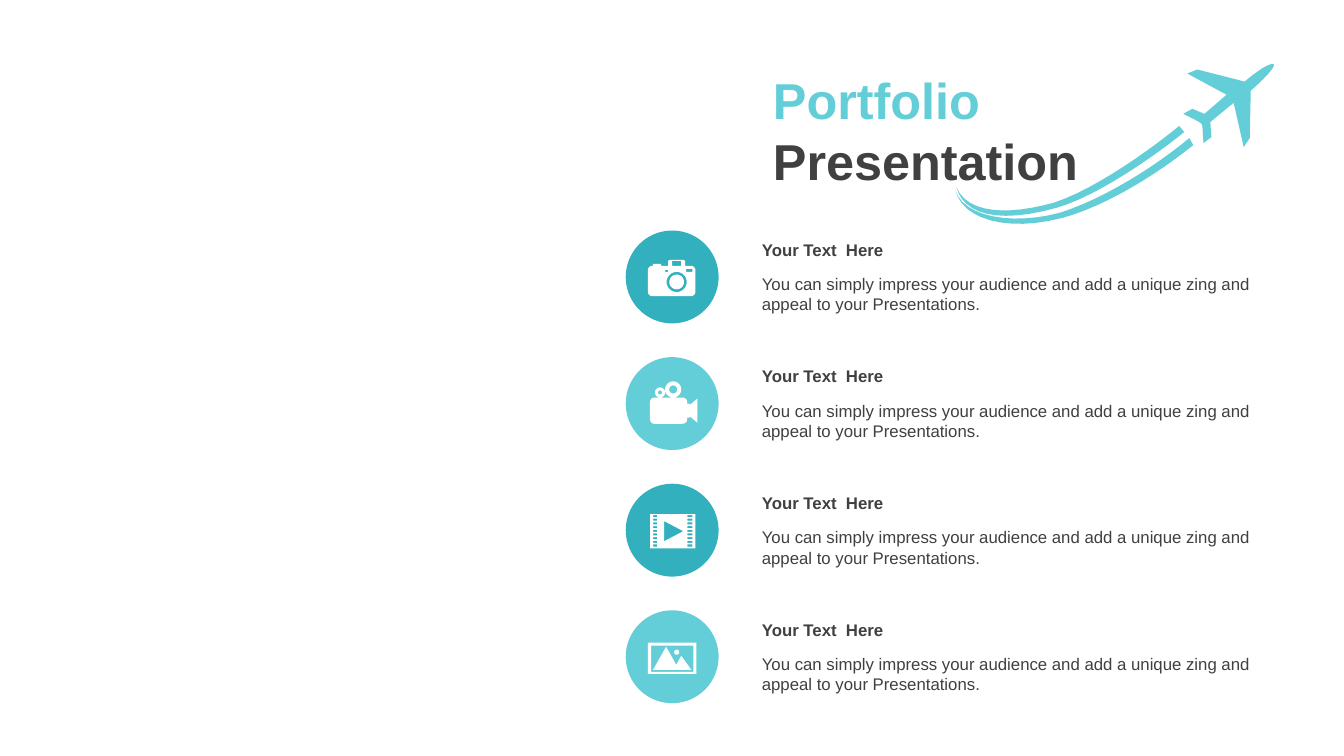
from math import cos, pi, sin

from pptx import Presentation
from pptx.dml.color import RGBColor
from pptx.enum.shapes import MSO_SHAPE
from pptx.enum.text import MSO_ANCHOR
from pptx.util import Cm, Pt

TEAL = RGBColor(0x32, 0xB0, 0xBE)
AQUA = RGBColor(0x64, 0xCE, 0xD8)
GRAY = RGBColor(0x40, 0x40, 0x40)
WHITE = RGBColor(0xFF, 0xFF, 0xFF)
FONT = "Arial"
UNIT = Cm(2.54) / 100  # outlines are drawn in hundredths of an inch

TITLE = [("Portfolio ", AQUA), ("Presentation", GRAY)]
HEADING = "Your Text  Here"
BODY = ("You can simply impress your audience and add a unique zing "
        "and appeal to your Presentations.")


def rectangle(left, top, right, bottom):
    return [(left, top), (right, top), (right, bottom), (left, bottom)]


def circle(x, y, radius, steps=32):
    angles = [2 * pi * step / steps for step in range(steps)]
    return [(x + radius * cos(angle), y + radius * sin(angle)) for angle in angles]


# A contour lists line ends (x, y) and Bezier curves (x1, y1, x2, y2, x, y).
# Icon contours are measured from the centre of their disc.
CAMERA = [
    [(-2, -17), (11, -17), (13, -16), (13, -11), (19, -11),
     (21, -11, 23, -9, 23, -7), (23, 15), (23, 17, 21, 19, 19, 19),
     (-20, 19), (-22, 19, -24, 17, -24, 15), (-24, -7),
     (-24, -9, -22, -11, -20, -11), (-19, -11), (-19, -13), (-11, -13),
     (-11, -11), (-4, -11), (-4, -16)],
    circle(4.5, 5, 10), circle(4.5, 5, 7.3),
    rectangle(-7, -7, -4, -5), rectangle(14, -8, 20, -5), rectangle(0, -16, 9, -11),
]
VIDEO = [
    [(10, -6), (13, -6, 15, -4, 15, -1), (15, 0), (17, 0), (18, 1),
     (25, -5), (25, 19), (18, 13), (17, 14), (15, 14), (15, 15),
     (15, 18, 13, 20, 10, 20), (-18, 20), (-20, 20, -22, 18, -22, 15),
     (-22, -1), (-22, -4, -20, -6, -18, -6)],
    circle(-12, -11, 5), circle(-12, -11, 2),
    circle(1, -14, 8), circle(1, -14, 4),
]
FILM = [rectangle(-22, -16, 23, 18), [(-8, -9), (-8, 11), (11, 1)]] + [
    rectangle(left, -15 + 3.65 * row, right, -13 + 3.65 * row)
    for left, right in ((-19, -15), (15, 20))
    for row in range(9)
]
LANDSCAPE = [
    rectangle(-24, -14, 24, 17), rectangle(-21, -11, 21, 15),
    [(-6, -10), (4, 8), (9, -1), (19, 13), (-19, 13)],
    circle(4.5, -4.5, 2.5),
]
ITEMS = [(CAMERA, TEAL), (VIDEO, AQUA), (FILM, TEAL), (LANDSCAPE, AQUA)]

# The aircraft and its trails are measured from the corner of the slide.
AIRCRAFT = [
    [(1194, 142), (1193, 125), (1192, 122, 1191, 122, 1188, 120), (1174, 113),
     (1183, 108), (1195, 113), (1217, 94), (1178, 73), (1188, 69), (1235, 81),
     (1243, 74, 1260, 61, 1264, 64), (1265, 68, 1249, 83, 1241, 90),
     (1240, 137), (1234, 146), (1224, 102), (1201, 121),
     (1201, 125, 1202, 136, 1202, 136)],
]
UPPER_TRAIL = [
    [(1175, 131), (1152, 150, 1091, 194, 1049, 206),
     (989, 223, 956, 212, 949, 186), (960, 212, 1000, 214, 1046, 201),
     (1089, 187, 1147, 144, 1170, 125)],
]
LOWER_TRAIL = [
    [(1184, 144), (1148, 173, 1098, 204, 1055, 216),
     (998, 231, 955, 217, 948, 189), (956, 215, 1004, 224, 1052, 211),
     (1096, 197, 1148, 164, 1180, 137)],
]

DISC_X, DISC_Y, DISC_SIZE = Cm(16.94), Cm(6.98), Cm(2.34)
ROW_STEP = Cm(3.19)
TEXT_LEFT, TEXT_WIDTH = Cm(18.95), Cm(13)


def flatten(contour, steps=12):
    """Return the contour as points only, with each curve sampled."""
    points = []
    for part in contour:
        if len(part) == 2:
            points.append(part)
            continue
        x0, y0 = points[-1]
        x1, y1, x2, y2, x3, y3 = part
        for step in range(1, steps + 1):
            t = step / steps
            a, b, c, d = (1 - t) ** 3, 3 * t * (1 - t) ** 2, 3 * t * t * (1 - t), t ** 3
            points.append((a * x0 + b * x1 + c * x2 + d * x3,
                           a * y0 + b * y1 + c * y2 + d * y3))
    return points


def paint(shape, color):
    shape.fill.solid()
    shape.fill.fore_color.rgb = color
    shape.line.fill.background()
    shape.shadow.inherit = False


def add_outline(page, contours, color, left=0, top=0):
    """Draw contours as one filled shape; inner contours become holes."""
    builder = None
    for contour in contours:
        points = [(left + x * UNIT, top + y * UNIT) for x, y in flatten(contour)]
        if builder is None:
            builder = page.shapes.build_freeform(*points[0])
        else:
            builder.move_to(*points[0])
        builder.add_line_segments(points[1:], close=True)
    paint(builder.convert_to_shape(), color)


def add_text(page, left, top, width, height, spans, size, bold=False):
    box = page.shapes.add_textbox(left, top, width, height)
    box.text_frame.word_wrap = True
    para = box.text_frame.paragraphs[0]
    para.font.name, para.font.size, para.font.bold = FONT, Pt(size), bold
    for text, color in spans:
        span = para.add_run()
        span.text = text
        span.font.color.rgb = color
    return box


def add_item(page, row, icon, color):
    center_y = DISC_Y + row * ROW_STEP
    disc = page.shapes.add_shape(MSO_SHAPE.OVAL, DISC_X - DISC_SIZE // 2,
                                 center_y - DISC_SIZE // 2, DISC_SIZE, DISC_SIZE)
    paint(disc, color)
    add_outline(page, icon, WHITE, DISC_X, center_y)
    add_text(page, TEXT_LEFT, center_y - Cm(1.07), TEXT_WIDTH, Cm(0.76),
             [(HEADING, GRAY)], 12, bold=True)
    add_text(page, TEXT_LEFT, center_y - Cm(0.2), TEXT_WIDTH, Cm(1.3),
             [(BODY, GRAY)], 12)


def main():
    deck = Presentation()
    deck.slide_width, deck.slide_height = Cm(33.87), Cm(19.05)
    page = deck.slides.add_slide(deck.slide_layouts[6])
    add_outline(page, AIRCRAFT, AQUA)
    for row, (icon, color) in enumerate(ITEMS):
        add_item(page, row, icon, color)
    title = add_text(page, Cm(19.23), Cm(1.6), Cm(8.53), Cm(3.35), TITLE, 36, bold=True)
    title.text_frame.vertical_anchor = MSO_ANCHOR.MIDDLE
    for trail in (UPPER_TRAIL, LOWER_TRAIL):
        add_outline(page, trail, AQUA)
    deck.save("out.pptx")


if __name__ == "__main__":
    main()
